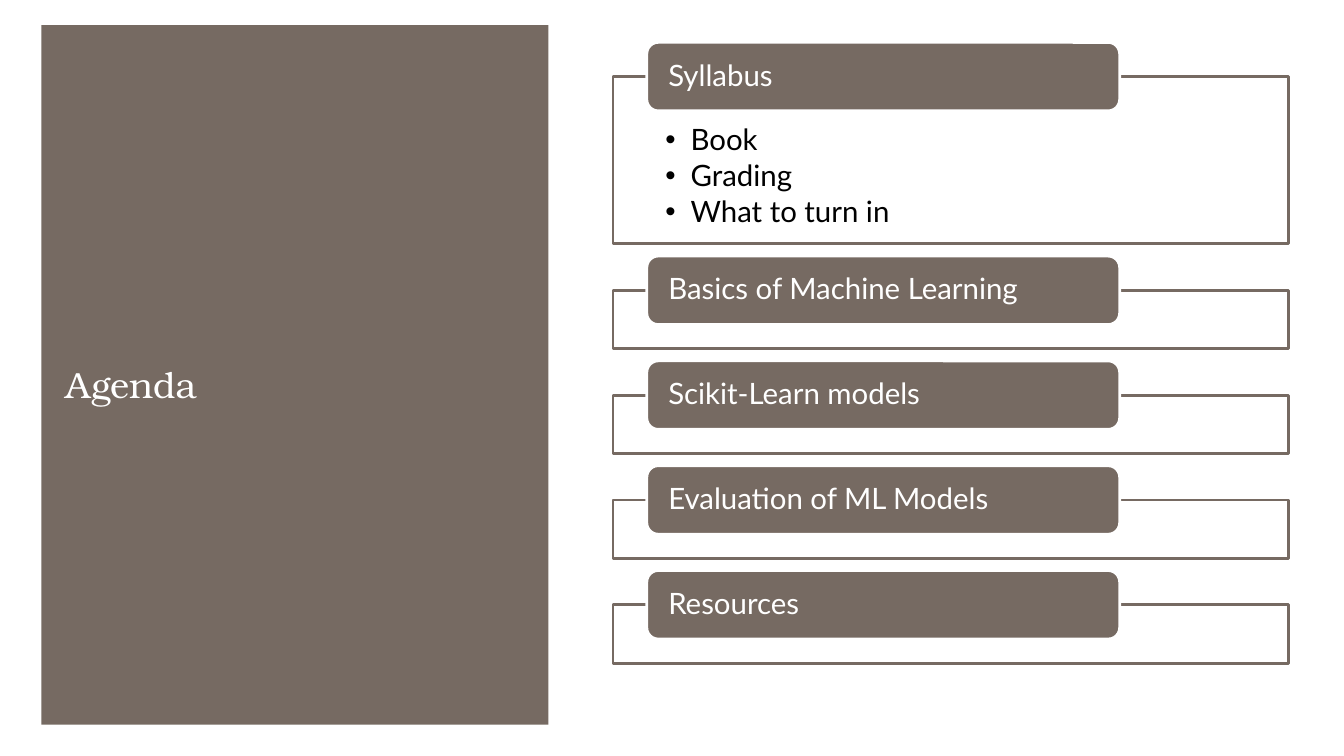
from lxml import etree
from pptx import Presentation
from pptx import util as u
from pptx.dml.color import RGBColor
from pptx.enum import shapes, text
from pptx.oxml.ns import qn

TITLE = "Agenda"
SECTIONS = [
    ("Syllabus", ["Book", "Grading", "What to turn in"]),
    ("Basics of Machine Learning", []),
    ("Scikit-Learn models", []),
    ("Evaluation of ML Models", []),
    ("Resources", []),
]

TAUPE = RGBColor(0x76, 0x6A, 0x62)
WHITE = RGBColor(0xFF, 0xFF, 0xFF)
BLACK = RGBColor(0x00, 0x00, 0x00)
HEADING_FONT, BODY_FONT = "TeX Gyre Bonum", "Lato"
HEADING_SIZE, BODY_SIZE = 26, 21

FRAME_LEFT, FRAME_WIDTH, FIRST_TOP = 6.08, 6.7, 0.76
FRAME_HEIGHT, OPEN_HEIGHT, GAP = 0.58, 1.66, 0.46
TAB_INDENT, TAB_WIDTH, TAB_HEIGHT = FRAME_WIDTH / 20, FRAME_WIDTH * 0.7, 0.68


def add_block(page, preset, left, top, width, height, fill, line=None):
    block = page.shapes.add_shape(preset, *map(u.Inches, (left, top, width, height)))
    block.shadow.inherit = False
    block.fill.solid()
    block.fill.fore_color.rgb = fill
    if line is None:
        block.line.fill.background()
    else:
        block.line.color.rgb = line
        block.line.width = u.Pt(2)
    return block


def write(box, lines, font, size, color, anchor, insets, after=0, bullets=False):
    frame = box.text_frame
    frame.word_wrap = True
    frame.vertical_anchor = anchor
    frame.margin_left, frame.margin_top, frame.margin_right, frame.margin_bottom = map(u.Inches, insets)
    for index, line in enumerate(lines):
        para = frame.add_paragraph() if index else frame.paragraphs[0]
        para.alignment = text.PP_ALIGN.LEFT
        para.line_spacing = 0.9
        para.space_after = u.Pt(after)
        if bullets:
            props = para._p.get_or_add_pPr()
            props.set("marL", str(u.Inches(0.25)))
            props.set("indent", str(u.Inches(-0.25)))
            etree.SubElement(props, qn("a:buFont")).set("typeface", "Arial")
            etree.SubElement(props, qn("a:buChar")).set("char", "•")
        span = para.add_run()
        span.text = line
        span.font.name = font
        span.font.size = u.Pt(size)
        span.font.color.rgb = color


def add_section(page, top, heading, items, height):
    frame = add_block(page, shapes.MSO_SHAPE.RECTANGLE, FRAME_LEFT, top,
                      FRAME_WIDTH, height, WHITE, TAUPE)
    if items:
        write(frame, items, BODY_FONT, BODY_SIZE, BLACK, text.MSO_ANCHOR.TOP,
              (0.52, 0.48, 0.52, 0.16), after=BODY_SIZE * 0.15, bullets=True)
    tab = add_block(page, shapes.MSO_SHAPE.ROUNDED_RECTANGLE, FRAME_LEFT + TAB_INDENT,
                    top - TAB_HEIGHT / 2, TAB_WIDTH, TAB_HEIGHT, TAUPE, WHITE)
    write(tab, [heading], BODY_FONT, BODY_SIZE, WHITE, text.MSO_ANCHOR.MIDDLE, (0.18, 0, 0.18, 0))


def main():
    deck = Presentation()
    deck.slide_width, deck.slide_height = u.Inches(13.33), u.Inches(7.5)
    page = deck.slides.add_slide(deck.slide_layouts[6])

    add_block(page, shapes.MSO_SHAPE.RECTANGLE, 0.41, 0.25, 5.03, 6.94, TAUPE)
    title = page.shapes.add_textbox(*map(u.Inches, (0.55, 2.81, 4.75, 1.27)))
    write(title, [TITLE], HEADING_FONT, HEADING_SIZE, WHITE, text.MSO_ANCHOR.BOTTOM,
          (0.1, 0.05, 0.1, 0.05))

    top = FIRST_TOP
    for heading, items in SECTIONS:
        height = OPEN_HEIGHT if items else FRAME_HEIGHT
        add_section(page, top, heading, items, height)
        top += height + GAP

    deck.save("out.pptx")


if __name__ == "__main__":
    main()
